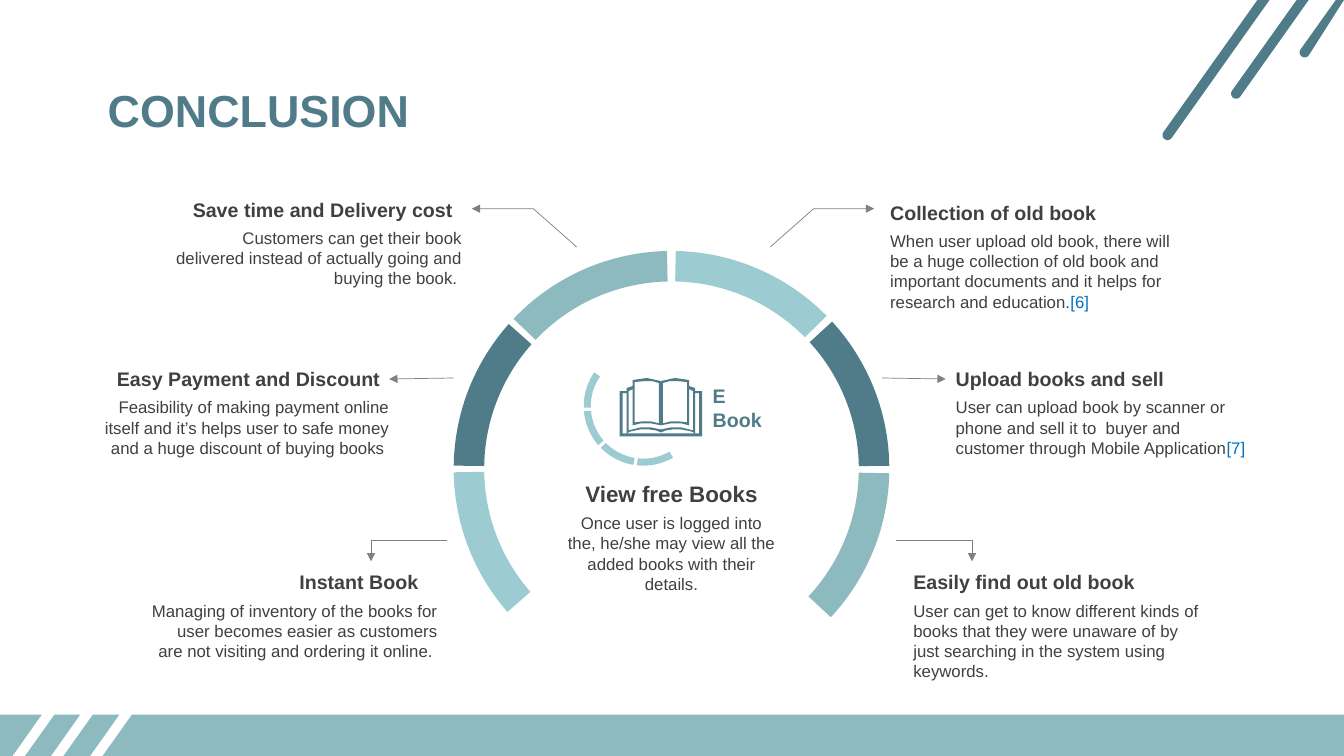
import dataclasses
import math

import lxml.etree
import pptx
import pptx.dml.color
import pptx.enum.shapes
import pptx.enum.text
import pptx.oxml.ns
import pptx.util

Inches = pptx.util.Inches
RGBColor = pptx.dml.color.RGBColor
Align = pptx.enum.text.PP_ALIGN
Kind = pptx.enum.shapes.MSO_SHAPE
Point = tuple[float, float]

TEAL = RGBColor(0x50, 0x7C, 0x89)
SAGE = RGBColor(0x8C, 0xBA, 0xBE)
AQUA = RGBColor(0x9C, 0xCC, 0xD2)
INK = RGBColor(0x40, 0x40, 0x40)
GRAY = RGBColor(0x80, 0x80, 0x80)
BLUE = RGBColor(0x00, 0x70, 0xC0)
WHITE = RGBColor(0xFF, 0xFF, 0xFF)

WIDE, HIGH, BAND = 13.33, 7.5, 7.09


@dataclasses.dataclass
class Arc:
    turn: float
    start: float
    end: float
    color: RGBColor


@dataclasses.dataclass
class Note:
    left: float
    top: float
    width: float
    head: str
    body: str
    lines: int
    align: Align = Align.LEFT
    ref: str = ""
    size: int = 14
    drop: float = 0.3
    pad: float = 0.1


ARCS = [
    Arc(137.7, 134.11, 159.19, SAGE),
    Arc(317.2, 109, 133.11, AQUA),
    Arc(0, 108.49, 132.99, TEAL),
    Arc(90, 136.5, 161.53, TEAL),
    Arc(47.6, 105.53, 132.72, SAGE),
    Arc(47.6, 134.11, 160.69, AQUA),
]

NOTES = [
    Note(8.73, 1.94, 3.09, "Collection of old book",
         "When user upload old book, there will be a huge collection of old book and "
         "important documents and it helps for research and education.", 4, ref="[6]"),
    Note(9.38, 3.59, 3.09, "Upload books and sell",
         "User can upload book by scanner or phone and sell it to  buyer and "
         "customer through Mobile Application", 3, ref="[7]"),
    Note(8.96, 5.61, 3.09, "Easily find out old book",
         "User can get to know different kinds of books that they were unaware of by "
         "just searching in the system using keywords.", 4),
    Note(1.63, 1.91, 3.05, "Save time and Delivery cost",
         "Customers can get their book delivered instead of actually going and "
         "buying the book. ", 3, Align.RIGHT),
    Note(0.91, 3.59, 3.05, "Easy Payment and Discount",
         "Feasibility of making payment online itself and it’s helps user to safe money "
         "and a huge discount of buying books ", 3, Align.RIGHT),
    Note(1.38, 5.61, 3.06, "Instant Book",
         "Managing of inventory of the books for user becomes easier as customers "
         "are not visiting and ordering it online. ", 3, Align.RIGHT, pad=0.2),
    Note(5.52, 4.71, 2.28, "View free Books",
         "Once user is logged into the, he/she may view all the added books with "
         "their details.", 4, Align.CENTER, size=16, drop=0.33),
]

ARROWS: list[list[Point]] = [
    [(7.64, 2.45), (8.07, 2.07), (8.67, 2.07)],
    [(5.72, 2.45), (5.29, 2.07), (4.68, 2.07)],
    [(8.75, 3.75), (9.38, 3.76)],
    [(4.43, 5.36), (3.68, 5.36), (3.68, 5.57)],
    [(4.5, 3.75), (3.86, 3.76)],
    [(8.89, 5.36), (9.64, 5.36), (9.64, 5.57)],
]

COVER = [(0, 3.78), (0.05, 3.77), (0.09, 3.76), (0.14, 3.75), (0.21, 3.76), (0.28, 3.77),
         (0.28, 3.83), (0.34, 3.85), (0.34, 3.88), (0.41, 3.88), (0.41, 4.33)]
INNER = [(0, 4.26), (0.1, 4.24), (0.2, 4.24), (0.32, 4.27), (0.32, 3.88), (0.28, 3.86),
         (0.28, 4.22), (0.2, 4.2), (0.1, 4.2), (0, 4.22)]
BASE = [(0, 4.29), (0.05, 4.27), (0.12, 4.26), (0.2, 4.26), (0.3, 4.28), (0.34, 4.3)]
PAGE = [(0.02, 4.2), (0.02, 3.8), (0.09, 3.78), (0.15, 3.78), (0.26, 3.79), (0.26, 4.19),
        (0.18, 4.18), (0.1, 4.18)]
EDGE = [(0.34, 3.9), (0.38, 3.9), (0.38, 4.3), (0.34, 4.3)]


def paint(shape, color: RGBColor) -> None:
    shape.shadow.inherit = False
    shape.fill.solid()
    shape.fill.fore_color.rgb = color
    shape.line.fill.background()


def trace(slide, loops: list[list[Point]], close: bool = True):
    spots = [[(Inches(x), Inches(y)) for x, y in loop] for loop in loops]
    pen = slide.shapes.build_freeform(*spots[0][0])
    pen.add_line_segments(spots[0][1:], close)
    for loop in spots[1:]:
        pen.move_to(*loop[0])
        pen.add_line_segments(loop[1:], close)
    return pen.convert_to_shape()


def write(slide, box: tuple, text: str, size: int, color: RGBColor, bold: bool,
          align: Align = Align.LEFT):
    frame = slide.shapes.add_textbox(*map(Inches, box)).text_frame
    frame.word_wrap = True
    frame.text = text
    for para in frame.paragraphs:
        para.alignment = align
        for run in para.runs:
            style(run, size, color, bold)
    return frame


def style(run, size: int, color: RGBColor, bold: bool) -> None:
    run.font.name = "Arial"
    run.font.size = pptx.util.Pt(size)
    run.font.bold = bold
    run.font.color.rgb = color


def add_arc(slide, arc: Arc) -> None:
    shape = slide.shapes.add_shape(Kind.BLOCK_ARC, *map(Inches, (4.5, 2.49, 4.32, 4.32)))
    shape.rotation = arc.turn
    for i, value in enumerate((arc.start, arc.end, 0.07)):
        shape.adjustments[i] = value
    paint(shape, arc.color)


def add_note(slide, note: Note) -> None:
    inset = 0.09 if note.align == Align.RIGHT else 0
    head = write(slide, (note.left, note.top, note.width - inset, 0.34), note.head,
                 note.size, INK, True, note.align)
    head.margin_right = Inches(note.pad)
    box = (note.left, note.top + note.drop, note.width, 0.11 + 0.2 * note.lines)
    body = write(slide, box, note.body, 12, INK, False, note.align)
    if note.ref:
        run = body.paragraphs[0].add_run()
        run.text = note.ref
        style(run, 12, BLUE, False)


def add_arrow(slide, points: list[Point]) -> None:
    qn = pptx.oxml.ns.qn
    straight = len(points) == 2
    if straight:
        ends = [Inches(v) for point in points for v in point]
        shape = slide.shapes.add_connector(pptx.enum.shapes.MSO_CONNECTOR.STRAIGHT, *ends)
    else:
        shape = trace(slide, [points], False)
        shape.fill.background()
        shape.shadow.inherit = False
    shape.line.color.rgb = GRAY
    shape.line.width = pptx.util.Pt(0.5)
    props = shape.element.spPr
    lxml.etree.SubElement(props.find(qn("a:ln")), qn("a:tailEnd"), type="triangle")
    if straight:
        lxml.etree.SubElement(props, qn("a:effectLst"))


def stripe(tip: Point, edge: float) -> list[Point]:
    x, y = tip
    far = x - (edge - y) * 0.71
    side = math.copysign(0.06, y - edge)
    angle = math.atan2(y - edge, x - far)
    turns = [angle + math.radians(t) for t in range(-90, 91, 15)]
    cap = [(x + 0.05 * math.cos(t), y + 0.05 * math.sin(t)) for t in turns]
    return [(min(far + side, WIDE), edge), *cap, (min(far - side, WIDE), edge)]


def sector(start: float) -> list[Point]:
    turns = [math.radians(start + 3 * i) for i in range(13)]
    rims = [(0.59, turns), (0.52, turns[::-1])]
    return [(6.38 + r * math.cos(t), 4.03 + r * math.sin(t)) for r, rim in rims for t in rim]


def add_book(slide) -> None:
    def flip(half: list[Point], sign: int) -> list[Point]:
        return [(6.555 + sign * x, y) for x, y in half]

    loops = [flip(half, -1) + flip(half, 1)[::-1] for half in (COVER, INNER, BASE)]
    loops += [flip(half, sign) for half in (PAGE, EDGE) for sign in (-1, 1)]
    paint(trace(slide, loops), TEAL)


def main() -> None:
    deck = pptx.Presentation()
    deck.slide_width, deck.slide_height = Inches(WIDE), Inches(HIGH)
    slide = deck.slides.add_slide(deck.slide_layouts[6])
    for arc in ARCS:
        add_arc(slide, arc)
    for note in NOTES:
        add_note(slide, note)
    for points in ARROWS:
        add_arrow(slide, points)
    band = slide.shapes.add_shape(Kind.RECTANGLE, 0, Inches(BAND), Inches(WIDE),
                                  Inches(HIGH - BAND))
    paint(band, SAGE)
    tops = [(12.94, 0.52), (12.26, 0.93), (11.58, 1.34)]
    feet = [(0.52, 7.03), (1.05, 6.82), (1.58, 6.62)]
    for tips, edge, color in ((tops, 0, TEAL), (feet, HIGH, WHITE)):
        paint(trace(slide, [stripe(tip, edge) for tip in tips]), color)
    write(slide, (0.97, 0.77, 7.18, 0.64), "CONCLUSION", 32, TEAL, True)
    for i in range(4):
        paint(trace(slide, [sector(60 + 39.5 * i)]), AQUA)
    add_book(slide)
    write(slide, (6.97, 3.76, 0.79, 0.57), "E\nBook", 14, TEAL, True)
    deck.save("out.pptx")


if __name__ == "__main__":
    main()
